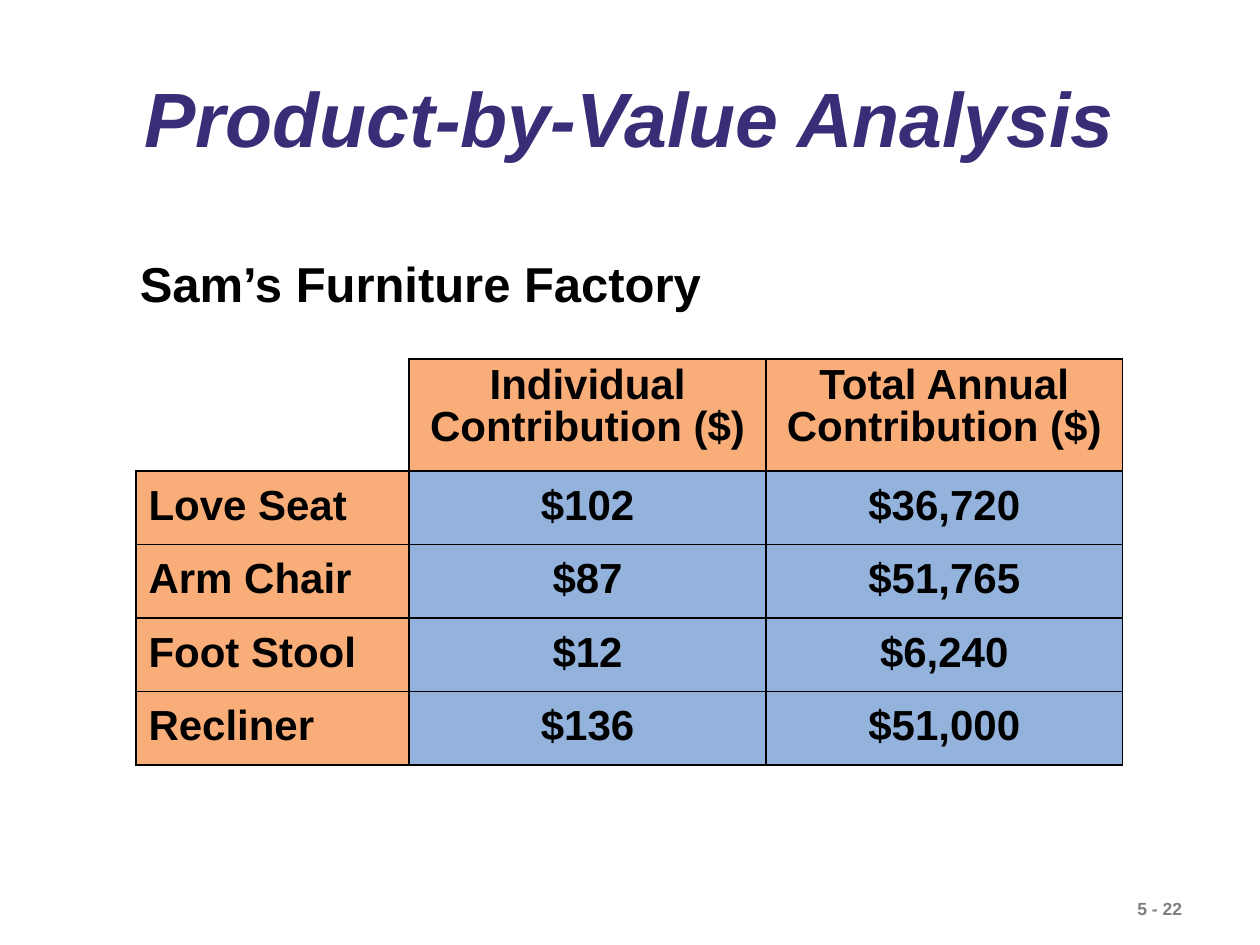
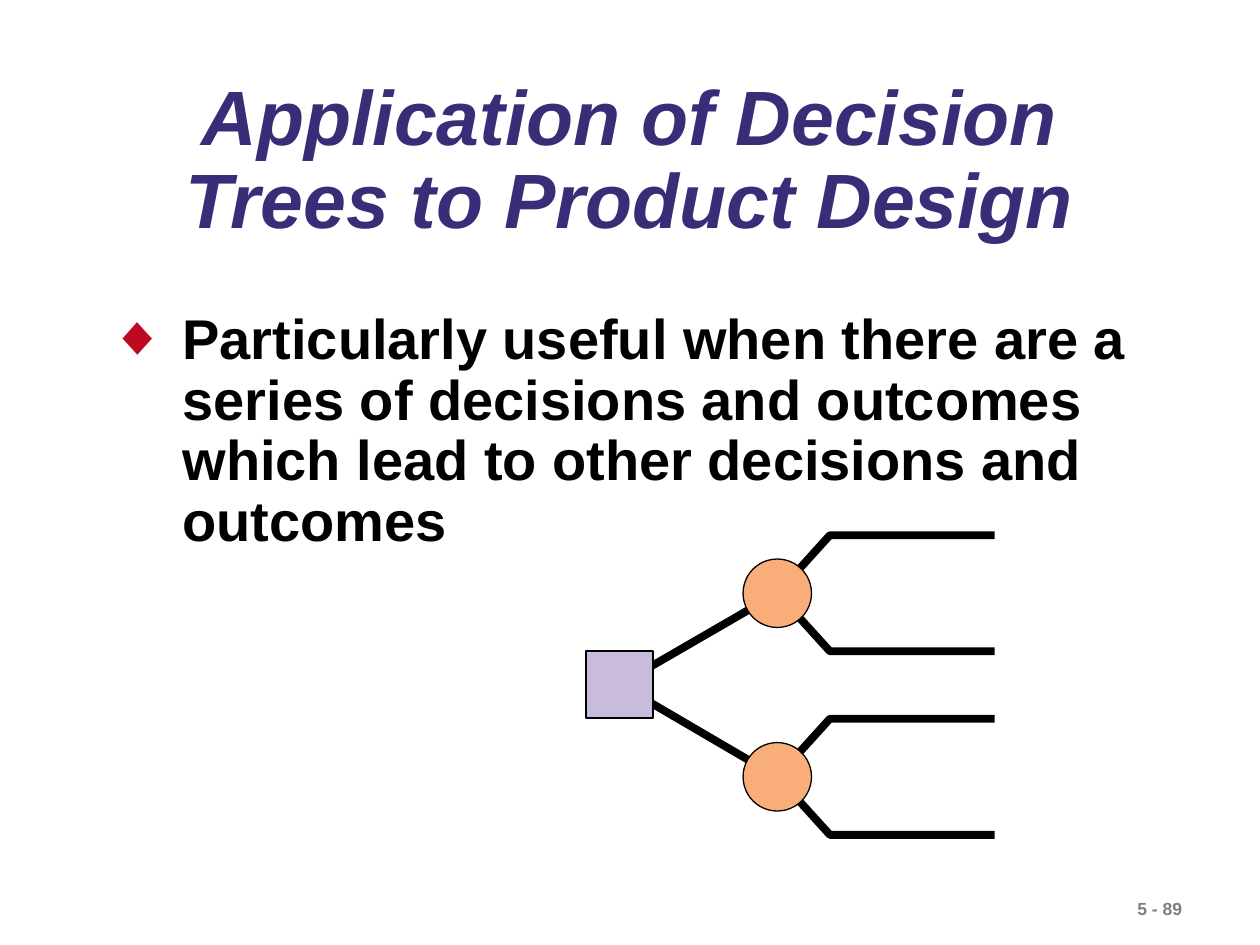
"""Build two operations-management slides: a product-by-value table and a decision tree."""
from dataclasses import dataclass

import pptx
import pptx.dml.color
import pptx.enum.shapes
import pptx.enum.text
import pptx.oxml.ns
import pptx.util
from lxml import etree

Cm = pptx.util.Cm
Pt = pptx.util.Pt
ALIGN = pptx.enum.text.PP_ALIGN
ANCHOR = pptx.enum.text.MSO_ANCHOR
SHAPE = pptx.enum.shapes.MSO_SHAPE

VALUE_ANALYSIS = {
    "title": "Product-by-Value Analysis",
    "number": "5 - 22",
    "company": "Sam’s Furniture Factory",
    "contributions": [
        ("", "Individual Contribution ($)", "Total Annual Contribution ($)"),
        ("Love Seat", "$102", "$36,720"),
        ("Arm Chair", "$87", "$51,765"),
        ("Foot Stool", "$12", "$6,240"),
        ("Recliner", "$136", "$51,000"),
    ],
}
DECISION_TREES = {
    "title": "Application of Decision Trees to Product Design",
    "number": "5 - 89",
    "use": "Particularly useful when there are a series of decisions and outcomes "
           "which lead to other decisions and outcomes",
    "decision": (12.49, 13.8),
    "chances": [(15.67, 11.96), (15.67, 15.66)],
}


@dataclass(frozen=True)
class Theme:
    font: str = "Arial"
    title: str = "3A2C76"
    ink: str = "000000"
    muted: str = "7F7F7F"
    bullet: str = "BF0922"
    orange: str = "F9AD78"
    blue: str = "93B3DD"
    lilac: str = "C9BBDB"
    title_size: int = 44
    body_size: int = 32
    company_size: int = 28
    cell_size: int = 24
    number_size: int = 10
    spacing: float = 0.9
    branch_width: float = 4.5
    outline_width: float = 0.75
    border_width: float = 1.08


THEME = Theme()


def rgb(value):
    return pptx.dml.color.RGBColor.from_string(value)


def add_xml(parent, tag, **attributes):
    return etree.SubElement(parent, pptx.oxml.ns.qn(tag), attributes)


def style(paragraph, size, color=THEME.ink, italic=False, align=ALIGN.LEFT, spacing=None):
    paragraph.alignment = align
    if spacing:
        paragraph.line_spacing = spacing
    for run in paragraph.runs:
        run.font.name = THEME.font
        run.font.size = Pt(size)
        run.font.bold = True
        run.font.italic = italic
        run.font.color.rgb = rgb(color)


def add_text(slide, text, box, size, wrap=True, grow=True, **look):
    frame = slide.shapes.add_textbox(*map(Cm, box)).text_frame
    frame.word_wrap = wrap
    if grow:
        frame.auto_size = pptx.enum.text.MSO_AUTO_SIZE.SHAPE_TO_FIT_TEXT
    frame.text = text
    style(frame.paragraphs[0], size, **look)
    return frame


def add_slide(deck, content, title_top, title_height):
    slide = deck.slides.add_slide(deck.slide_layouts[6])
    add_text(slide, content["number"], (22.68, 17.98, 2.72, 0.69), THEME.number_size,
             wrap=False, color=THEME.muted)
    title = add_text(slide, content["title"], (1.9, title_top, 21.6, title_height),
                     THEME.title_size, grow=False, color=THEME.title, italic=True,
                     align=ALIGN.CENTER, spacing=THEME.spacing)
    title.vertical_anchor = ANCHOR.MIDDLE
    return slide


def set_borders(cell, hidden=()):
    properties = cell._tc.get_or_add_tcPr()
    for position, side in enumerate(("a:lnL", "a:lnR", "a:lnT", "a:lnB")):
        border = etree.Element(pptx.oxml.ns.qn(side), w=str(int(Pt(THEME.border_width))))
        if side in hidden:
            add_xml(border, "a:noFill")
        else:
            add_xml(add_xml(border, "a:solidFill"), "a:srgbClr", val=THEME.ink)
        properties.insert(position, border)


def add_contributions(slide, rows):
    widths, heights = (5.51, 7.19, 7.19), (2.26,) + (1.48,) * (len(rows) - 1)
    table = slide.shapes.add_table(len(rows), len(widths), Cm(2.74), Cm(7.24),
                                   Cm(sum(widths)), Cm(sum(heights))).table
    table.first_row = table.horz_banding = False
    for column, width in zip(table.columns, widths):
        column.width = Cm(width)
    for row, height in zip(table.rows, heights):
        row.height = Cm(height)
    for r, values in enumerate(rows):
        for c, value in enumerate(values):
            cell = table.cell(r, c)
            corner = r == c == 0
            if corner:
                cell.fill.background()
            else:
                cell.fill.solid()
                cell.fill.fore_color.rgb = rgb(THEME.blue if r and c else THEME.orange)
                cell.text = value
                paragraph = cell.text_frame.paragraphs[0]
                style(paragraph, THEME.cell_size, spacing=THEME.spacing,
                      align=ALIGN.CENTER if c else ALIGN.LEFT)
                paragraph.space_after = Pt(12)
            cell.vertical_anchor = ANCHOR.MIDDLE if r else ANCHOR.TOP
            set_borders(cell, ("a:lnL", "a:lnT") if corner else ())


def add_use(slide, text):
    frame = add_text(slide, text, (1.96, 6.15, 21.6, 5.13), THEME.body_size,
                     spacing=THEME.spacing)
    properties = frame.paragraphs[0]._p.get_or_add_pPr()
    properties.set("marL", str(Cm(1.47)))
    properties.set("indent", str(-Cm(1.47)))
    add_xml(add_xml(properties, "a:buClr"), "a:srgbClr", val=THEME.bullet)
    add_xml(properties, "a:buFont", typeface=THEME.font)
    add_xml(properties, "a:buChar", char="◆")


def set_line(line, width):
    line.color.rgb = rgb(THEME.ink)
    line.width = Pt(width)


def add_outcome(slide, x, y, direction):
    bend_x, end_y = x + 1.06, y + direction * 1.17
    builder = slide.shapes.build_freeform(Cm(x), Cm(y))
    builder.add_line_segments([(Cm(bend_x), Cm(end_y)), (Cm(bend_x + 3.32), Cm(end_y))],
                              close=False)
    outcome = builder.convert_to_shape()
    outcome.shadow.inherit = False
    outcome.fill.background()
    set_line(outcome.line, THEME.branch_width)


def add_node(slide, kind, center, size, color):
    x, y = center
    node = slide.shapes.add_shape(kind, Cm(x - size / 2), Cm(y - size / 2), Cm(size), Cm(size))
    node.shadow.inherit = False
    node.fill.solid()
    node.fill.fore_color.rgb = rgb(color)
    set_line(node.line, THEME.outline_width)


def add_tree(slide, decision, chances):
    for chance in chances:
        for direction in (-1, 1):
            add_outcome(slide, *chance, direction)
        branch = slide.shapes.add_connector(pptx.enum.shapes.MSO_CONNECTOR.STRAIGHT,
                                            *map(Cm, decision + chance))
        set_line(branch.line, THEME.branch_width)
        add_xml(branch._element.spPr, "a:effectLst")
    add_node(slide, SHAPE.RECTANGLE, decision, 1.35, THEME.lilac)
    for chance in chances:
        add_node(slide, SHAPE.OVAL, chance, 1.38, THEME.orange)


def main():
    deck = pptx.Presentation()
    deck.slide_width, deck.slide_height = Cm(25.4), Cm(19.05)

    analysis = add_slide(deck, VALUE_ANALYSIS, 1.22, 2.51)
    add_contributions(analysis, VALUE_ANALYSIS["contributions"])
    add_text(analysis, VALUE_ANALYSIS["company"], (2.57, 4.98, 11.84, 1.45),
             THEME.company_size, wrap=False)

    trees = add_slide(deck, DECISION_TREES, 1.42, 3.71)
    add_use(trees, DECISION_TREES["use"])
    add_tree(trees, DECISION_TREES["decision"], DECISION_TREES["chances"])

    deck.save("out.pptx")


if __name__ == "__main__":
    main()
